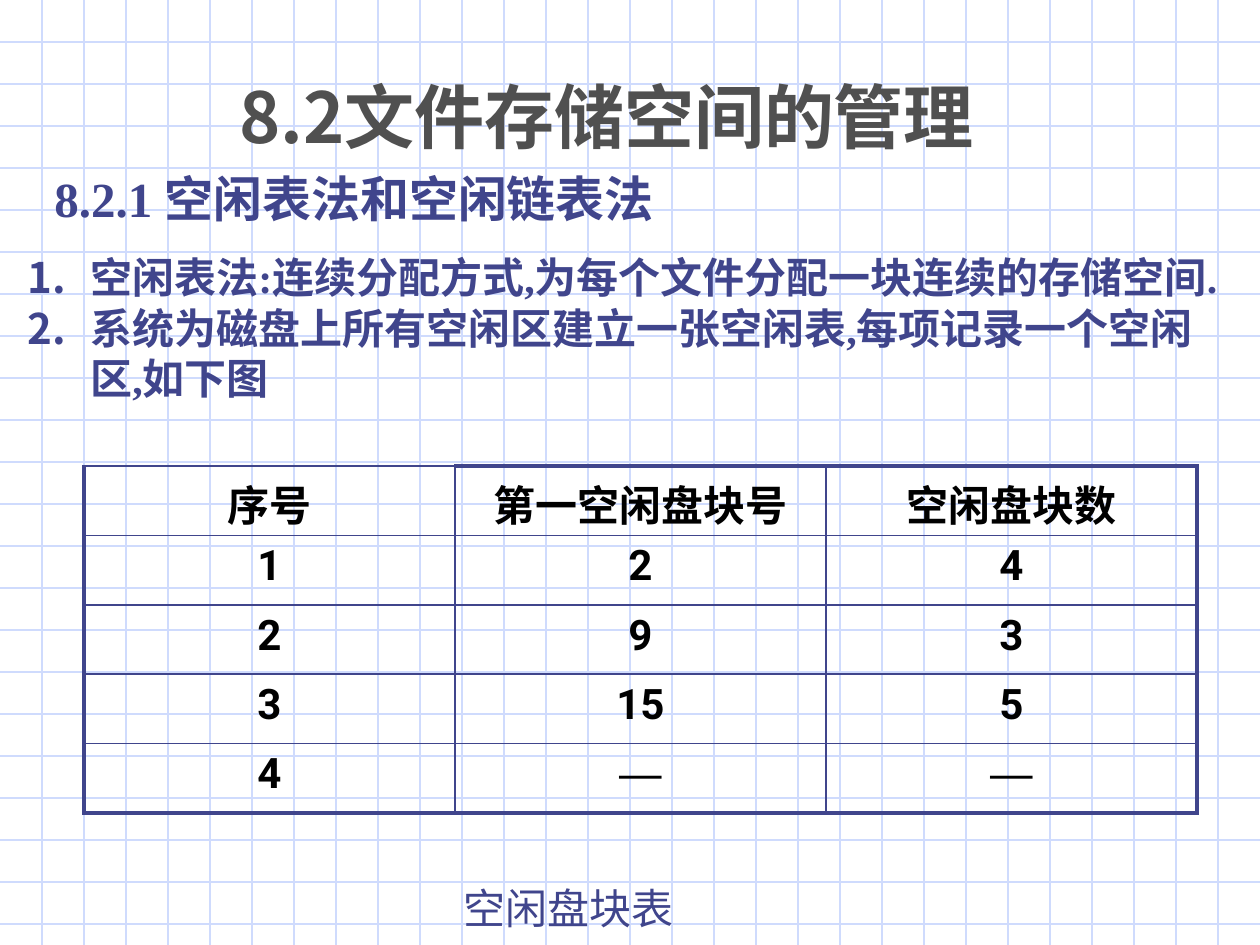
from lxml import etree
from pptx import Presentation
from pptx import util as u
from pptx.dml.color import RGBColor
from pptx.enum import shapes, text
from pptx.oxml.ns import qn

PX = 914400 / 126  # EMU in one px
WIDTH, HEIGHT, GRID = 1260, 945, 42
THEME = {
    "title": RGBColor.from_string("505050"),
    "ink": RGBColor.from_string("40458C"),
    "cell": RGBColor.from_string("000000"),
    "grid": RGBColor.from_string("CFDBFD"),
    "title_size": 40, "heading_size": 28, "body_size": 24,
    "hairline": 0.75, "thin": 1, "thick": 2.25, "leading": 1.2,
    "serif": "Times New Roman", "sans": "Roboto", "cjk": "Noto Sans CJK JP",
}


def px(length):
    return u.Emu(round(length * PX))


def write(para, words, face, size, color, bold=True):
    """Add one run with separate Latin and East Asian typefaces."""
    span = para.add_run()
    span.text = words
    formats = {"name": face, "size": u.Pt(size), "bold": bold}
    for name, value in formats.items():
        setattr(span.font, name, value)
    span.font.color.rgb = color
    latin = span.font._element.find(qn("a:latin"))
    latin.addnext(latin.makeelement(qn("a:ea"), {"typeface": THEME["cjk"]}))


deck = Presentation()
deck.slide_width, deck.slide_height = px(WIDTH), px(HEIGHT)
page = deck.slides.add_slide(deck.slide_layouts[6])

# Squared-paper background
grid_lines = [(0, y, WIDTH, y) for y in range(GRID, HEIGHT, GRID)]
grid_lines += [(x, 0, x, HEIGHT) for x in range(GRID, WIDTH, GRID)]
for ends in grid_lines:
    rule = page.shapes.add_connector(shapes.MSO_CONNECTOR.STRAIGHT, *map(px, ends))
    rule.line.color.rgb = THEME["grid"]
    rule.line.width = u.Pt(THEME["hairline"])
    etree.SubElement(rule._element.spPr, qn("a:effectLst"))

# Title
box = page.shapes.add_textbox(px(92), px(67), px(1029), px(97))
frame = box.text_frame
frame.word_wrap = True
frame.vertical_anchor = text.MSO_ANCHOR.MIDDLE
para = frame.paragraphs[0]
para.alignment = text.PP_ALIGN.CENTER
write(para, "8.2文件存储空间的管理", THEME["cjk"], THEME["title_size"], THEME["title"])

# Heading, numbered points and table caption
blocks = [
    {"at": (42, 162, 1166, 84), "size": THEME["heading_size"],
     "lines": ["8.2.1 空闲表法和空闲链表法"]},
    {"at": (15, 245, 1221, 165), "size": THEME["body_size"], "numbered": True,
     "lines": ["空闲表法:连续分配方式,为每个文件分配一块连续的存储空间.",
               "系统为磁盘上所有空闲区建立一张空闲表,每项记录一个空闲区,如下图"]},
    {"at": (451, 876, 246, 63), "size": THEME["body_size"], "bold": False, "wrap": False,
     "lines": ["空闲盘块表"]},
]
for block in blocks:
    box = page.shapes.add_textbox(*map(px, block["at"]))
    frame = box.text_frame
    frame.word_wrap = block.get("wrap", True)
    frame.margin_top = px(7)
    for number, words in enumerate(block["lines"]):
        para = frame.add_paragraph() if number else frame.paragraphs[0]
        para.line_spacing = u.Pt(block["size"] * THEME["leading"])
        write(para, words, THEME["serif"], block["size"], THEME["ink"], block.get("bold", True))
        if block.get("numbered"):
            props = para._p.get_or_add_pPr()
            props.set("marL", str(px(63)))
            props.set("indent", str(-px(63)))
            etree.SubElement(props, qn("a:buFont"), typeface=THEME["cjk"])
            etree.SubElement(props, qn("a:buAutoNum"), type="arabicPeriod")

# Table of free disk blocks
rows = [
    ["序号", "第一空闲盘块号", "空闲盘块数"],
    ["1", "2", "4"],
    ["2", "9", "3"],
    ["3", "15", "5"],
    ["4", "—", "—"],
]
last_row, last_col = len(rows) - 1, len(rows[0]) - 1
table = page.shapes.add_table(
    len(rows), len(rows[0]), px(84), px(466), px(371 * 3), px(347)).table
table.first_row = table.horz_banding = False
for column in table.columns:
    column.width = px(371)

for r, row in enumerate(rows):
    for c, words in enumerate(row):
        cell = table.cell(r, c)
        cell.fill.background()
        cell.margin_bottom = 0
        para = cell.text_frame.paragraphs[0]
        para.alignment = text.PP_ALIGN.CENTER
        face = THEME["serif"] if words == "—" else THEME["sans"]
        write(para, words, face, THEME["body_size"], THEME["cell"])
        thick_edges = {
            "a:lnL": c == 0,
            "a:lnR": c == last_col,
            "a:lnT": r == 0 and c > 0,
            "a:lnB": r == last_row,
        }
        props = cell._tc.get_or_add_tcPr()
        for place, (edge, thick) in enumerate(thick_edges.items()):
            width = u.Pt(THEME["thick"] if thick else THEME["thin"])
            line = props.makeelement(qn(edge), {"w": str(width)})
            fill = etree.SubElement(line, qn("a:solidFill"))
            etree.SubElement(fill, qn("a:srgbClr"), val=str(THEME["ink"]))
            props.insert(place, line)

deck.save("out.pptx")
